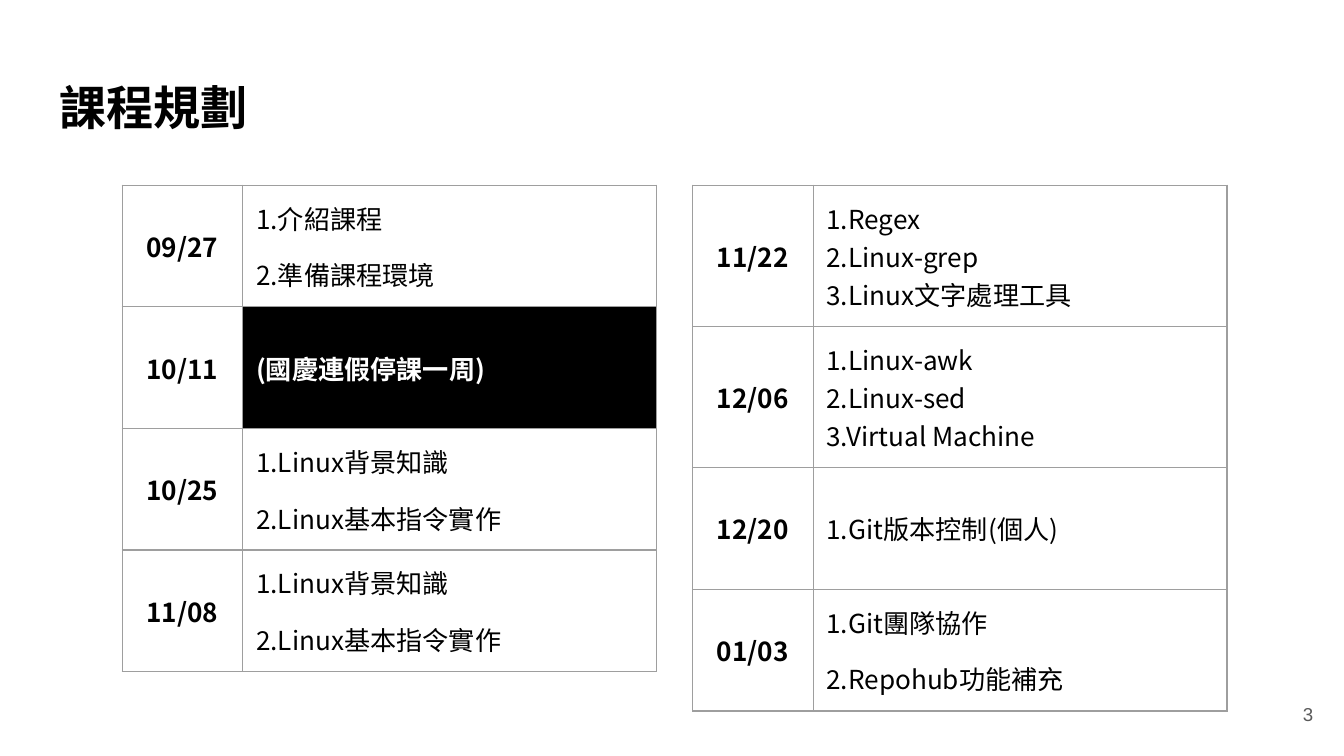
"""Build the course plan slide with two schedule tables."""
from lxml import etree
from pptx import Presentation
from pptx.dml.color import RGBColor
from pptx.enum import text
from pptx.oxml import ns
from pptx.util import Cm, Pt

COLORS = {"ink": "000000", "paper": "FFFFFF", "border": "9E9E9E", "number": "595959"}
TITLE_FONT, DATE_FONT, NUMBER_FONT = "Noto Sans CJK SC", "Noto Sans CJK TC", "Arial"
INSET = Cm(0.25)
HOLIDAY = "10/11"
SCHEDULES = [
    (2.31, [
        ("09/27", ["1.介紹課程", "2.準備課程環境"]),
        (HOLIDAY, ["(國慶連假停課一周)"]),
        ("10/25", ["1.Linux背景知識", "2.Linux基本指令實作"]),
        ("11/08", ["1.Linux背景知識", "2.Linux基本指令實作"]),
    ]),
    (13.09, [
        ("11/22", ["1.Regex", "2.Linux-grep", "3.Linux文字處理工具"]),
        ("12/06", ["1.Linux-awk", "2.Linux-sed", "3.Virtual Machine"]),
        ("12/20", ["1.Git版本控制(個人)"]),
        ("01/03", ["1.Git團隊協作", "2.Repohub功能補充"]),
    ]),
]


def write(frame, lines, font, size, color="ink", bold=False, **layout):
    frame.word_wrap = True
    for index, line in enumerate(lines):
        paragraph = frame.add_paragraph() if index else frame.paragraphs[0]
        for name, value in layout.items():
            setattr(paragraph, name, value)
        run = paragraph.add_run()
        run.text = line
        for name, value in {"name": font, "size": Pt(size), "bold": bold}.items():
            setattr(run.font, name, value)
        run.font.color.rgb = RGBColor.from_string(COLORS[color])
        east_asian = etree.SubElement(run.font._element, ns.qn("a:ea"))
        east_asian.set("typeface", font)


def style_cell(cell, fill):
    properties = cell._tc.get_or_add_tcPr()
    for side in ("lnL", "lnR", "lnT", "lnB"):
        line = etree.SubElement(properties, ns.qn(f"a:{side}"), w=str(Pt(0.75)))
        solid = etree.SubElement(line, ns.qn("a:solidFill"))
        etree.SubElement(solid, ns.qn("a:srgbClr"), val=COLORS["border"])
    if fill:
        cell.fill.solid()
        cell.fill.fore_color.rgb = RGBColor.from_string(COLORS[fill])
    else:
        cell.fill.background()
    for side in ("left", "right", "top", "bottom"):
        setattr(cell, f"margin_{side}", INSET)
    cell.vertical_anchor = text.MSO_ANCHOR.MIDDLE


presentation = Presentation()
presentation.slide_width, presentation.slide_height = Cm(25.4), Cm(14.29)
slide = presentation.slides.add_slide(presentation.slide_layouts[6])

labels = [
    ((0.88, 1.24, 23.67, 1.6), text.MSO_ANCHOR.TOP, "課程規劃",
     {"font": TITLE_FONT, "size": 25.2, "bold": True}),
    ((23.55, 12.95, 1.52, 1.09), text.MSO_ANCHOR.MIDDLE, "3",
     {"font": NUMBER_FONT, "size": 10, "color": "number", "alignment": text.PP_ALIGN.RIGHT}),
]
for box, anchor, label, style in labels:
    frame = slide.shapes.add_textbox(*map(Cm, box)).text_frame
    for side in ("left", "right", "top", "bottom"):
        setattr(frame, f"margin_{side}", INSET)
    frame.vertical_anchor = anchor
    write(frame, [label], **style)

for left, lessons in SCHEDULES:
    heights = [Cm(2.67 if len(topics) == 3 else 2.3) for _, topics in lessons]
    graphic = slide.shapes.add_table(len(lessons), 2, Cm(left), Cm(3.5), Cm(10.1), sum(heights))
    table = graphic.table
    table.first_row = table.horz_banding = False
    for column, width in zip(table.columns, (2.28, 7.82)):
        column.width = Cm(width)
    for row, (date, topics) in enumerate(lessons):
        table.rows[row].height = heights[row]
        date_cell, topic_cell = table.cell(row, 0), table.cell(row, 1)
        holiday = date == HOLIDAY
        style_cell(date_cell, None)
        style_cell(topic_cell, "ink" if holiday else None)
        write(date_cell.text_frame, [date], DATE_FONT, 14, bold=True,
              alignment=text.PP_ALIGN.CENTER)
        write(topic_cell.text_frame, topics, TITLE_FONT, 14,
              "paper" if holiday else "ink", holiday,
              space_before=Pt(10 if len(topics) == 2 else 0))

presentation.save("out.pptx")
